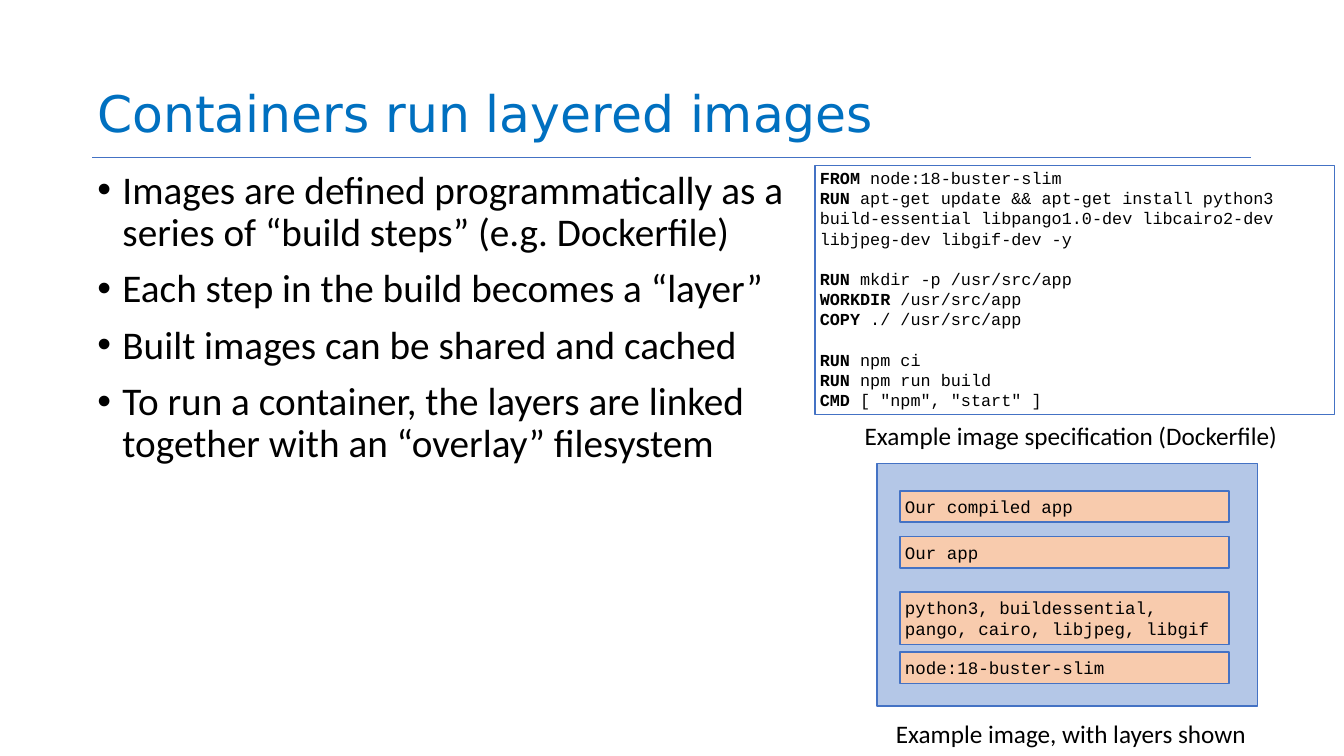
from dataclasses import dataclass

from pptx import Presentation
from pptx import util as u
from pptx.dml.color import RGBColor
from pptx.enum import shapes, text
from pptx.oxml.ns import qn
from lxml import etree

PX = 9144  # EMU in one px, 100 px to the inch
HUE = {"title": "0070C0", "ink": "000000", "edge": "4472C4",
       "image": "B4C7E7", "layer": "F8CBAD"}
MONO, SANS = "Courier New", "Calibri"


@dataclass
class Box:
    x: int
    y: int
    w: int
    h: int

    def emu(self) -> list[int]:
        return [n * PX for n in (self.x, self.y, self.w, self.h)]


@dataclass
class Layer:
    name: str
    y: int
    h: int = 62


@dataclass
class Label:
    words: str
    box: Box


POINTS = [
    "Images are defined programmatically as a series of “build steps” (e.g. Dockerfile)",
    "Each step in the build becomes a “layer”",
    "Built images can be shared and cached",
    "To run a container, the layers are linked together with an “overlay” filesystem",
]
# Each code line is a bold keyword and the rest; an empty keyword is a blank line
CODE = [
    ("FROM", " node:18-buster-slim"),
    ("RUN", " apt-get update && apt-get install python3 build-essential "
            "libpango1.0-dev libcairo2-dev libjpeg-dev libgif-dev -y"),
    ("", ""),
    ("RUN", " mkdir -p /usr/src/app"),
    ("WORKDIR", " /usr/src/app"),
    ("COPY", " ./ /usr/src/app"),
    ("", ""),
    ("RUN", " npm ci"),
    ("RUN", " npm run build"),
    ("CMD", ' [ "npm", "start" ]'),
]
LAYERS = [
    Layer("node:18-buster-slim", 1294),
    Layer("python3, buildessential, pango, cairo, libjpeg, libgif", 1175, 104),
    Layer("Our app", 1065),
    Layer("Our compiled app", 974),
]
LABELS = [
    Label("Example image specification (Dockerfile)", Box(1706, 823, 852, 81)),
    Label("Example image, with layers shown", Box(1768, 1415, 728, 81)),
]


def rgb(key: str) -> RGBColor:
    return RGBColor.from_string(HUE[key])


def bullet(para) -> None:
    props = para._p.get_or_add_pPr()
    props.set("marL", str(50 * PX))
    props.set("indent", str(-50 * PX))
    etree.SubElement(props, qn("a:buFont")).set("typeface", "Arial")
    etree.SubElement(props, qn("a:buChar")).set("char", "•")


def write(shape, lines: list, size: int, font: str, color: str = "ink",
          anchor=text.MSO_ANCHOR.MIDDLE, pad: int = 10, lead: float = 1.0,
          gap: int = 0, dots: bool = False) -> None:
    """Fill a shape with lines, each a string or a (bold, plain) pair."""
    frame = shape.text_frame
    frame.word_wrap = True
    frame.auto_size = text.MSO_AUTO_SIZE.NONE
    frame.vertical_anchor = anchor
    frame.margin_left = frame.margin_right = 10 * PX
    frame.margin_top = frame.margin_bottom = pad * PX
    for i, line in enumerate(lines):
        para = frame.add_paragraph() if i else frame.paragraphs[0]
        para.alignment = text.PP_ALIGN.LEFT
        para.line_spacing = lead
        para.space_before = u.Pt(gap if i else 0)
        if dots:
            bullet(para)
        bold, plain = ("", line) if isinstance(line, str) else line
        for part, heavy in ((bold, True), (plain, False)):
            if part:
                run = para.add_run()
                run.text = part
                run.font.size, run.font.name = u.Pt(size), font
                run.font.bold = heavy
                run.font.color.rgb = rgb(color)
        if not para.runs:
            end = etree.SubElement(para._p, qn("a:endParaRPr"))
            end.set("sz", str(size * 100))
            etree.SubElement(end, qn("a:latin")).set("typeface", font)


def place(shape, box: Box) -> None:
    shape.left, shape.top, shape.width, shape.height = box.emu()


def rect(host, box: Box, fill: str | None = None):
    shape = host.add_shape(shapes.MSO_SHAPE.RECTANGLE, *box.emu())
    shape.shadow.inherit = False
    if fill:
        shape.fill.solid()
        shape.fill.fore_color.rgb = rgb(fill)
    else:
        shape.fill.background()
    shape.line.color.rgb = rgb("edge")
    shape.line.width = u.Pt(2)
    return shape


def rule(host, x: int, y: int, end: int) -> None:
    line = host.add_connector(shapes.MSO_CONNECTOR.STRAIGHT,
                              x * PX, y * PX, end * PX, y * PX)
    line.line.color.rgb = rgb("edge")
    line.line.width = u.Pt(1)
    etree.SubElement(line._element.spPr, qn("a:effectLst"))


def main() -> None:
    deck = Presentation()
    deck.slide_width, deck.slide_height = 2667 * PX, 1500 * PX
    slide = deck.slides.add_slide(deck.slide_layouts[1])
    host = slide.shapes

    # Title, rule and list
    title, body = host.title, slide.placeholders[1]
    place(title, Box(183, 4, 2300, 290))
    write(title, ["Containers run layered images"], 72, "DejaVu Sans", "title",
          anchor=text.MSO_ANCHOR.BOTTOM, lead=0.9)
    rule(host, 183, 313, 2483)
    place(body, Box(183, 328, 1433, 952))
    write(body, POINTS, 56, SANS, anchor=text.MSO_ANCHOR.TOP,
          lead=0.9, gap=20, dots=True)

    # Build file
    code = rect(host, Box(1617, 328, 1031, 495))
    write(code, CODE, 24, MONO, anchor=text.MSO_ANCHOR.TOP, pad=5)

    # Image with its layers
    stack = host.add_group_shape().shapes
    rect(stack, Box(1740, 920, 755, 481), "image")
    for layer in LAYERS:
        shape = rect(stack, Box(1786, layer.y, 653, layer.h), "layer")
        write(shape, [layer.name], 25, MONO)

    # Captions
    for label in LABELS:
        write(host.add_textbox(*label.box.emu()), [label.words], 36, SANS)

    deck.save("out.pptx")


if __name__ == "__main__":
    main()
